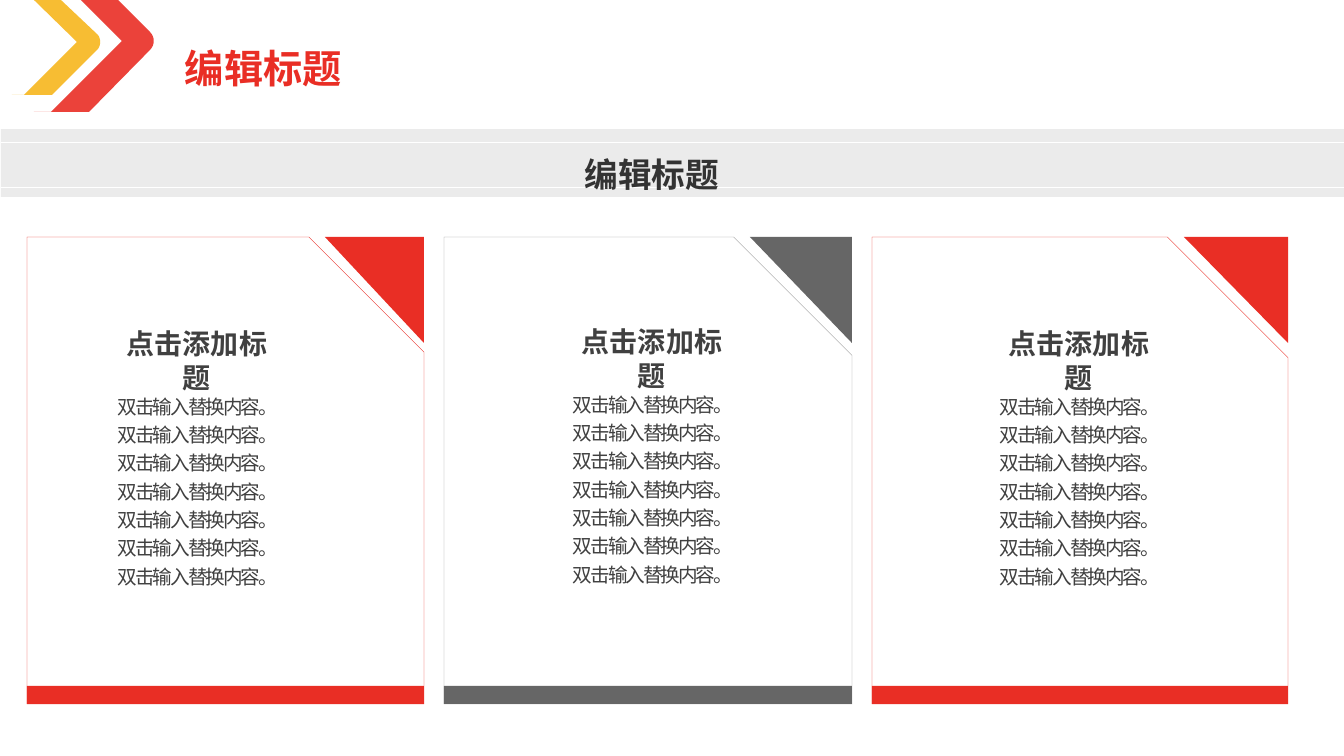
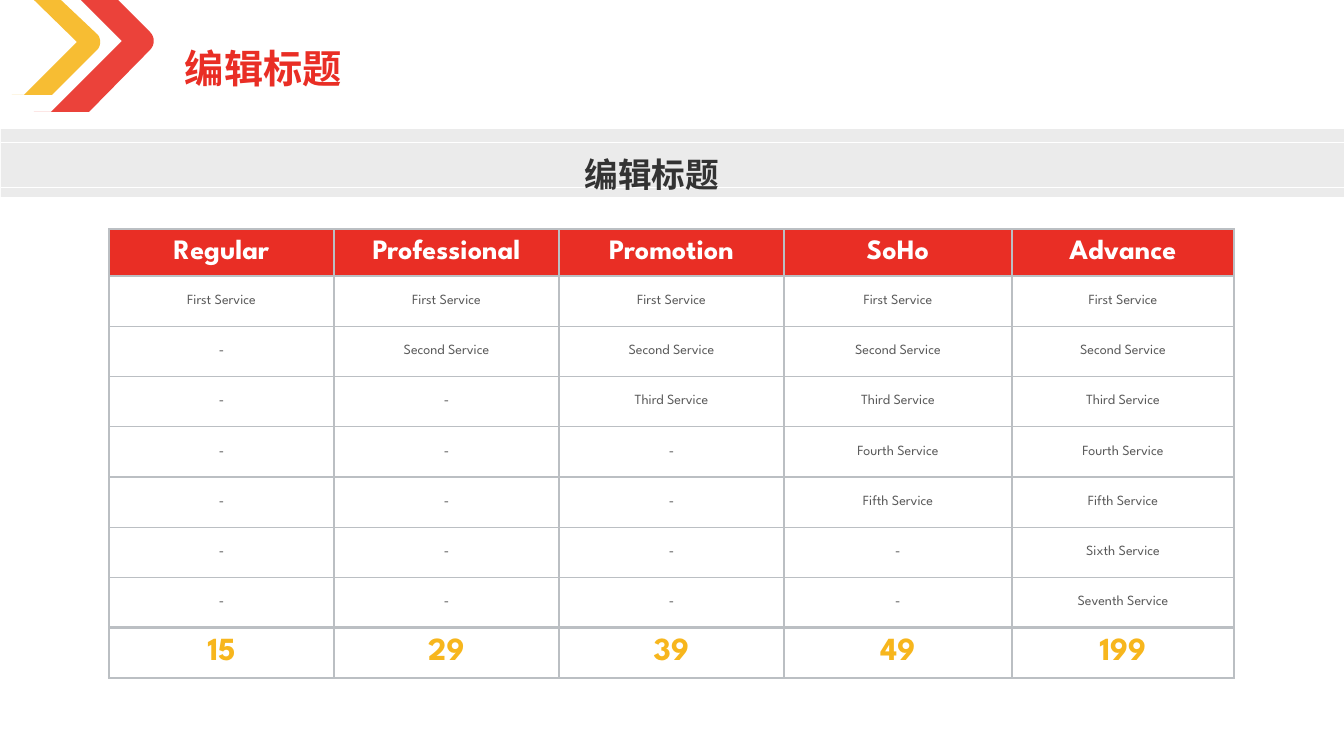
from lxml.etree import SubElement
from pptx import Presentation
from pptx.dml.color import RGBColor
from pptx.enum.shapes import MSO_CONNECTOR as Connector, MSO_SHAPE as Preset
from pptx.enum.text import MSO_ANCHOR as Anchor, PP_ALIGN as Align
from pptx.oxml.ns import qn
from pptx.util import Emu, Pt

EMU_PER_PX = 914400 / 100.8
SLIDE_W, SLIDE_H = 1344, 756
LATIN, CJK = "League Spartan", "Noto Sans CJK SC"
COLORS = {
    "red": "E92E25",
    "yellow": "F7B61D",
    "gray": "666666",
    "outline": "999999",
    "ink": "404040",
    "subtitle": "333333",
    "service": "595959",
    "border": "BBBFC3",
    "white": "FFFFFF",
}
PLANS = ["Regular", "Professional", "Promotion", "SoHo", "Advance"]
SERVICES = ["First", "Second", "Third", "Fourth", "Fifth", "Sixth", "Seventh"]
SERVICE_COUNTS = [1, 2, 3, 5, 7]
PRICES = ["15", "29", "39", "49", "199"]
PLAN_WIDTHS = [225, 225, 225, 228, 222]
CARDS = [
    (397, 55, 0, "red", "red"),
    (408, 93, -2, "gray", "outline"),
    (416, 92, 0, "red", "red"),
]


def px(length):
    """Turn px into EMU."""
    return Emu(round(length * EMU_PER_PX))


def color(key):
    """Return the named colour."""
    return RGBColor.from_string(COLORS[key])


def paint(shape, fill, outline=None, alpha=100):
    """Give a shape its fill, its opacity in percent and an optional hairline."""
    shape.shadow.inherit = False
    shape.fill.solid()
    shape.fill.fore_color.rgb = color(fill)
    if alpha < 100:
        tint = shape._element.spPr.find(qn("a:solidFill")).find(qn("a:srgbClr"))
        SubElement(tint, qn("a:alpha")).set("val", str(alpha * 1000))
    if outline:
        shape.line.color.rgb = color(outline)
        shape.line.width = Pt(0.25)
    else:
        shape.line.fill.background()


def add_block(slide, preset, box, fill, outline=None, alpha=100):
    """Add a painted preset shape in a px box."""
    block = slide.shapes.add_shape(preset, *map(px, box))
    paint(block, fill, outline, alpha)
    return block


def add_outline(slide, points, fill, alpha=100):
    """Add a painted closed polygon through px points."""
    corners = [(px(x), px(y)) for x, y in points]
    builder = slide.shapes.build_freeform(*corners[0], scale=1.0)
    builder.add_line_segments(corners[1:], close=True)
    paint(builder.convert_to_shape(), fill, alpha=alpha)


def add_run(paragraph, words, size, ink, font, bold=False, spacing=None):
    """Add one styled run to a paragraph."""
    run = paragraph.add_run()
    run.text = words
    run.font.size = Pt(size)
    run.font.bold = bold
    run.font.color.rgb = color(ink)
    run.font.name = font
    props = run._r.get_or_add_rPr()
    SubElement(props, qn("a:ea")).set("typeface", CJK)
    if spacing:
        props.set("spc", str(spacing))


def add_text(slide, box, lines, leading, align, inset, **style):
    """Add a wrapped text box with one paragraph for each line."""
    frame = slide.shapes.add_textbox(*map(px, box)).text_frame
    frame.word_wrap = True
    frame.margin_left = frame.margin_right = px(inset[0])
    frame.margin_top = frame.margin_bottom = px(inset[1])
    for index, words in enumerate(lines):
        paragraph = frame.add_paragraph() if index else frame.paragraphs[0]
        paragraph.alignment = align
        paragraph.line_spacing = Pt(leading)
        add_run(paragraph, words, **style)


def curve(start, first, second, end, steps=8):
    """Return points along a cubic curve."""
    points = []
    for step in range(steps + 1):
        t = step / steps
        weights = [(1 - t) ** 3, 3 * t * (1 - t) ** 2, 3 * t * t * (1 - t), t ** 3]
        pairs = zip(start, first, second, end)
        points.append(tuple(sum(w * v for w, v in zip(weights, axis)) for axis in pairs))
    return points


def add_header(slide):
    """Add the two chevrons and the slide title."""
    red_tip = curve((150, 50), (155, 45), (155, 37), (150, 32))
    yellow_tip = curve((98, 49), (101, 45), (101, 39), (98, 35))
    red = [(34, 112), (89, 112), *red_tip, (118, 0), (81, 0), (122, 41), (51, 112)]
    yellow = [(12, 95), (52, 95), *yellow_tip, (61, 0), (34, 0), (77, 42), (24, 95)]
    add_outline(slide, red, "red", alpha=90)
    add_outline(slide, yellow, "yellow", alpha=90)
    add_text(slide, (175, 35, 679, 57), ["编辑标题"], 37, Align.LEFT, (10, 5),
             size=28, ink="red", font=LATIN, bold=True)


def add_band(slide, box):
    """Add the pale subtitle band with its two white rules."""
    left, top, width, height = box
    add_block(slide, Preset.RECTANGLE, box, "ink", alpha=10)
    for y in (top + 13, top + height - 10):
        rule = slide.shapes.add_connector(
            Connector.STRAIGHT, px(left), px(y), px(left + width), px(y))
        rule.line.color.rgb = color("white")
        rule.line.width = Pt(0.5)
        SubElement(rule._element.spPr, qn("a:effectLst"))
    add_text(slide, (55, top + 17, 1194, 50), ["编辑标题"], 31, Align.CENTER, (10, 5),
             size=24, ink="subtitle", font=CJK, bold=True)


def add_card(slide, box, text_left, text_shift, accent, outline):
    """Add a snipped card with its corner, foot bar and text."""
    left, top, width, height = box
    right, foot = left + width, 18
    panel = add_block(slide, Preset.SNIP_1_RECTANGLE, box, "white", outline)
    panel.adjustments[0] = 0.29
    add_block(slide, Preset.RECTANGLE, (left, top + height - foot, width, foot), accent)
    add_outline(slide, [(right, top), (right - width // 4, top), (right, top + 106)], accent)
    text_x, text_y = left + text_left, top + text_shift
    add_text(slide, (text_x + 31, text_y + 86, 168, 75), ["点击添加标题"], 24,
             Align.CENTER, (7, 4), size=20, ink="ink", font=CJK, bold=True)
    add_text(slide, (text_x, text_y + 149, 232, 264), ["双击输入替换内容。"] * 7, 20.2,
             Align.CENTER, (7, 4), size=14, ink="ink", font=CJK, spacing=-150)


def fill_cell(cell, words, fill, borders, **style):
    """Give a table cell its borders, fill and centred words."""
    props = cell._tc.get_or_add_tcPr()
    for side, points in zip("LRTB", borders):
        edge = SubElement(props, qn(f"a:ln{side}"), w=str(Pt(points)))
        solid = SubElement(edge, qn("a:solidFill"))
        SubElement(solid, qn("a:srgbClr"), val=COLORS["border"])
    cell.fill.solid()
    cell.fill.fore_color.rgb = color(fill)
    cell.vertical_anchor = Anchor.MIDDLE
    cell.margin_left = cell.margin_right = px(3)
    cell.margin_top = cell.margin_bottom = px(3)
    paragraph = cell.text_frame.paragraphs[0]
    paragraph.alignment = Align.CENTER
    add_run(paragraph, words, font=LATIN, **style)


def add_price_table(slide, box):
    """Add the plan table with a header, services and prices."""
    left, top, width, height = box
    header_height = 47
    last_row, last_col = len(SERVICES) + 1, len(PLANS) - 1
    table = slide.shapes.add_table(last_row + 1, len(PLANS), *map(px, box)).table
    table.first_row = table.horz_banding = False
    for column, column_width in zip(table.columns, PLAN_WIDTHS):
        column.width = px(column_width)
    for index, row in enumerate(table.rows):
        row.height = px((height - header_height) / last_row if index else header_height)
    service_rows = [
        [f"{name} Service" if index < count else "-" for count in SERVICE_COUNTS]
        for index, name in enumerate(SERVICES)
    ]
    header = dict(fill="red", size=20, ink="white", bold=True)
    service = dict(fill="white", size=10, ink="service")
    price = dict(fill="white", size=23, ink="yellow", bold=True)
    for r, words_row in enumerate([PLANS, *service_rows, PRICES]):
        is_price = r == last_row
        look = price if is_price else service if r else header
        for c, words in enumerate(words_row):
            borders = (
                2 if is_price and c == 0 else 1,
                2 if is_price and c == last_col else 1,
                2 if is_price else 1,
                2 if r >= last_row - 1 else 1,
            )
            fill_cell(table.cell(r, c), words, borders=borders, **look)


def add_base_slide(deck):
    """Add a blank slide with the shared header and band."""
    slide = deck.slides.add_slide(deck.slide_layouts[6])
    add_band(slide, (1, 129, SLIDE_W - 1, 68))
    add_header(slide)
    return slide


def build_cards_slide(deck):
    """Build the slide with three cards in a row."""
    slide = add_base_slide(deck)
    left, gap = 27, 20
    for width, *details in CARDS:
        add_card(slide, (left, 237, width, 467), *details)
        left += width + gap


def build_prices_slide(deck):
    """Build the slide with the plan table."""
    slide = add_base_slide(deck)
    add_price_table(slide, (109, 229, sum(PLAN_WIDTHS), 449))


def main():
    """Build and save the deck."""
    deck = Presentation()
    deck.slide_width, deck.slide_height = px(SLIDE_W), px(SLIDE_H)
    build_cards_slide(deck)
    build_prices_slide(deck)
    deck.save("out.pptx")


if __name__ == "__main__":
    main()
